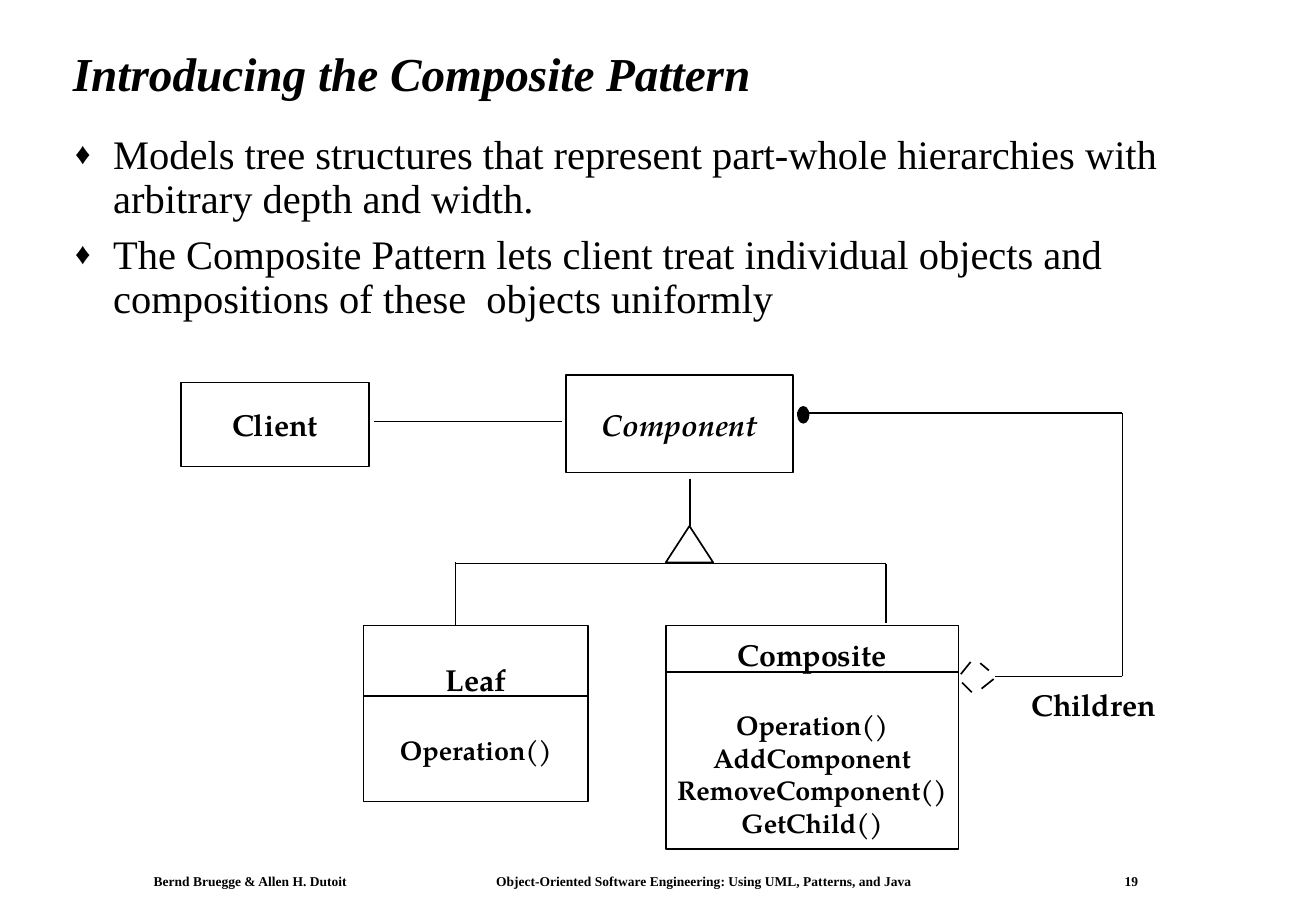
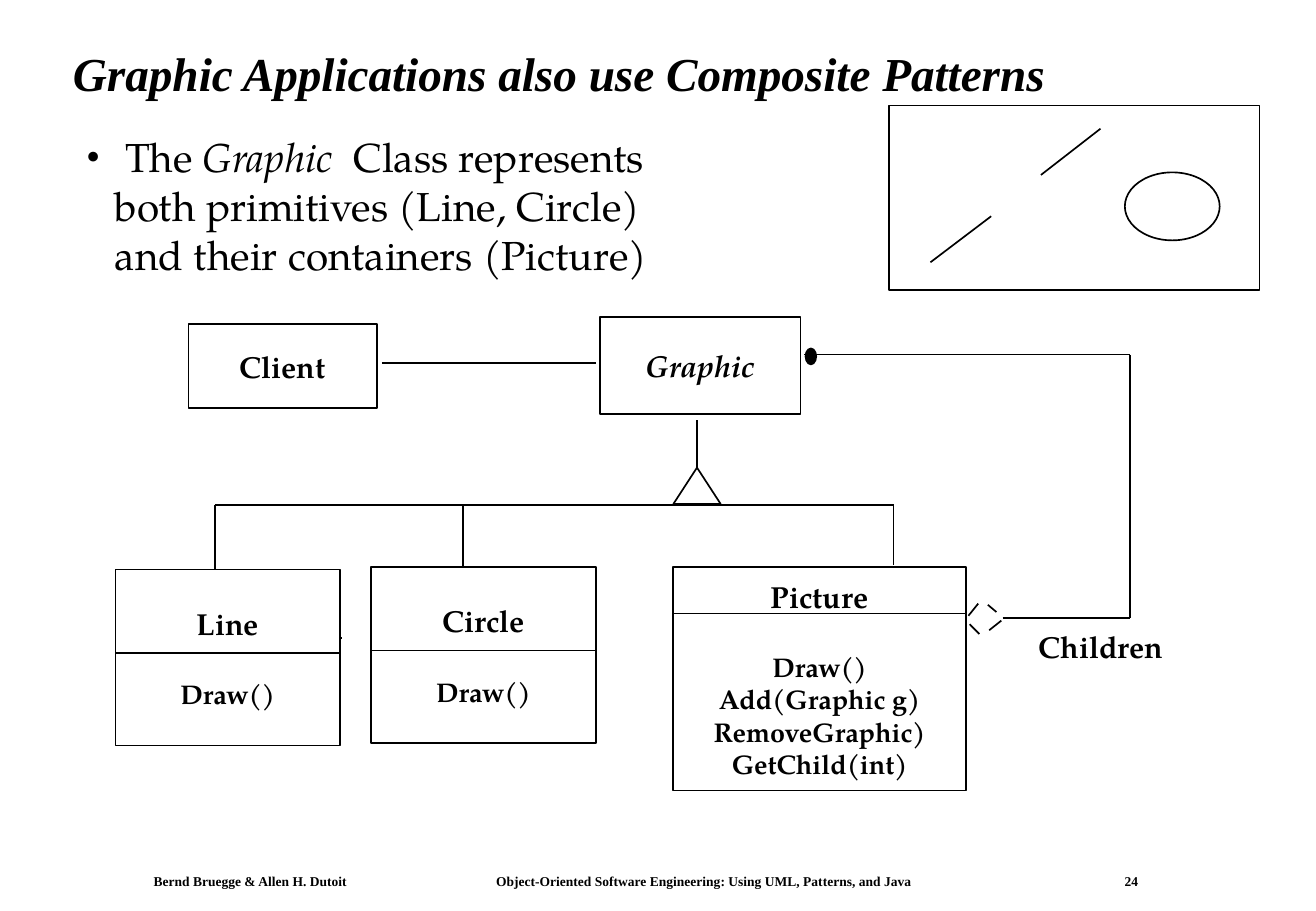
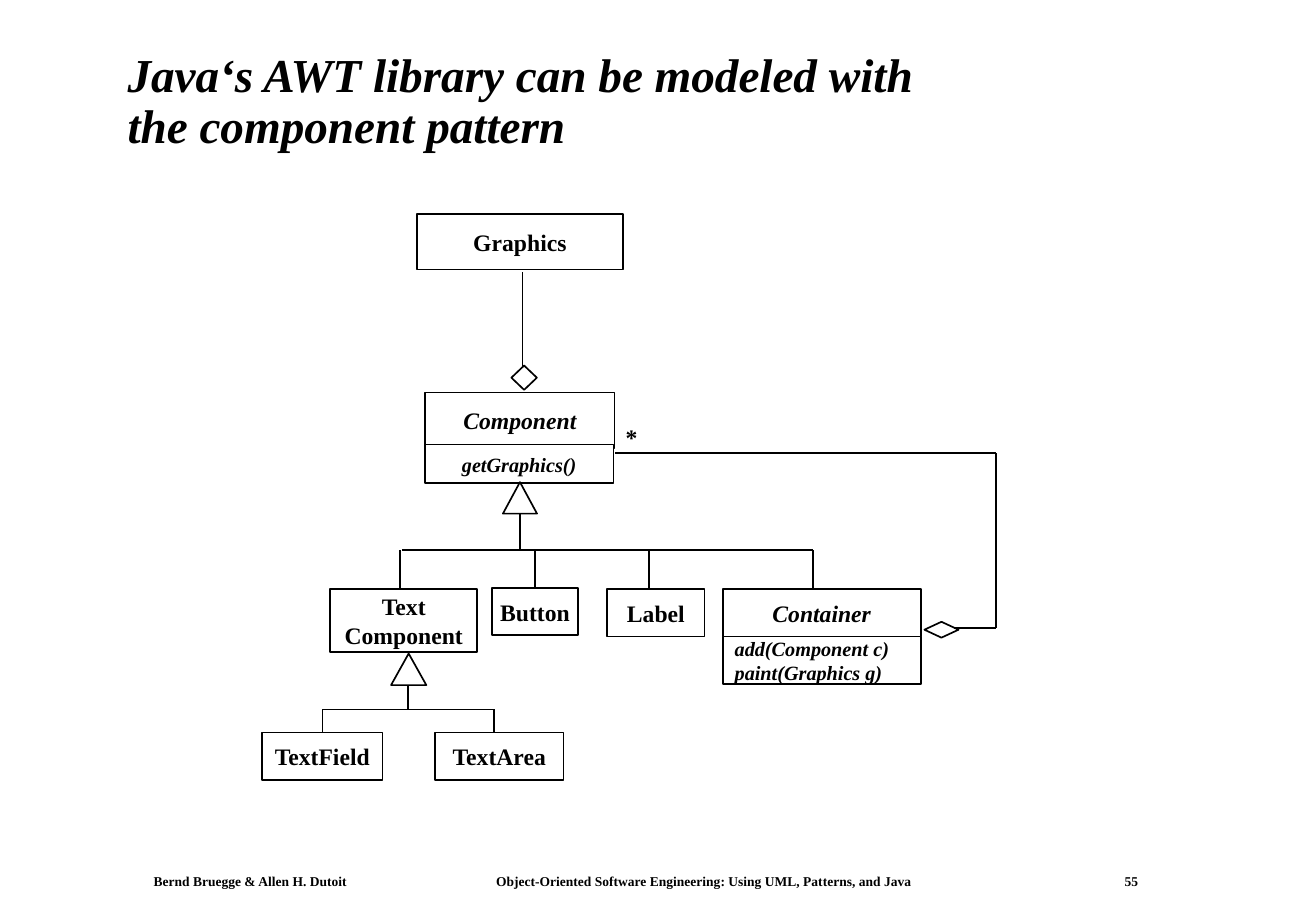
from itertools import pairwise

from lxml import etree
from pptx import Presentation
from pptx.dml.color import RGBColor
from pptx.enum.shapes import MSO_CONNECTOR, MSO_SHAPE
from pptx.enum.text import MSO_ANCHOR, MSO_AUTO_SIZE, PP_ALIGN
from pptx.oxml.ns import qn
from pptx.util import Pt

RECTANGLE = MSO_SHAPE.RECTANGLE
ELLIPSE = MSO_SHAPE.OVAL
TRIANGLE = MSO_SHAPE.ISOSCELES_TRIANGLE
EXTRACT = MSO_SHAPE.FLOWCHART_EXTRACT
DIAMOND = MSO_SHAPE.FLOWCHART_DECISION
STRAIGHT = MSO_CONNECTOR.STRAIGHT
TOP = MSO_ANCHOR.TOP
MIDDLE = MSO_ANCHOR.MIDDLE
LEFT = PP_ALIGN.LEFT
CENTER = PP_ALIGN.CENTER
FIXED = MSO_AUTO_SIZE.NONE

TIMES = "Times New Roman"
PAGELLA = "TeX Gyre Pagella"
BLACK = "000000"
WHITE = "FFFFFF"
LIST_LAYOUT, TITLE_LAYOUT = 1, 5
TOP_SIDE = 0
FOOTER = ("Bernd Bruegge & Allen H. Dutoit",
          "Object-Oriented Software Engineering: Using UML, Patterns, and Java")


def color(value):
    return RGBColor.from_string(value)


def add_child(parent, tag, **attributes):
    return etree.SubElement(parent, qn(tag), attributes)


class Deck:
    def __init__(self):
        self.file = Presentation()
        self.file.slide_width, self.file.slide_height = Pt(780), Pt(540)
        self.slide = None
        self.origin = (0, 0)

    def place(self, left, top):
        return Pt(self.origin[0] + left), Pt(self.origin[1] + top)

    def style(self, paragraph, size, face=TIMES, bold=False, italic=False):
        font = paragraph.font
        font.size, font.name = Pt(size), face
        font.bold, font.italic = bold, italic
        font.color.rgb = color(BLACK)

    def prepare(self, holder, anchor=MIDDLE, wrap=False):
        frame = holder.text_frame
        frame.auto_size = FIXED
        frame.word_wrap = wrap
        frame.vertical_anchor = anchor
        return frame

    def move(self, holder, left, top, width, height):
        holder.left, holder.top = self.place(left, top)
        holder.width, holder.height = Pt(width), Pt(height)

    def page(self, title, number, layout, area=(36, 17.3, 695.5, 55.4)):
        self.slide = self.file.slides.add_slide(self.file.slide_layouts[layout])
        self.origin = (0, 0)
        holder = self.slide.shapes.title
        self.move(holder, *area)
        paragraph = self.prepare(holder, wrap=True).paragraphs[0]
        paragraph.text = title
        paragraph.alignment = LEFT
        paragraph.line_spacing = 0.9
        self.style(paragraph, 28, bold=True, italic=True)
        self.footer(number)

    def footer(self, number):
        box = self.slide.shapes.add_textbox(Pt(85), Pt(514.8), Pt(610), Pt(15))
        frame = self.prepare(box, TOP, True)
        frame.margin_left = frame.margin_right = Pt(6)
        frame.margin_top = frame.margin_bottom = Pt(2.9)
        paragraph = frame.paragraphs[0]
        paragraph.text = "\t".join((*FOOTER, str(number)))
        stops = add_child(paragraph._p.get_or_add_pPr(), "a:tabLst")
        for position in (203, 575.5):
            add_child(stops, "a:tab", pos=str(Pt(position)), algn="l")
        self.style(paragraph, 8, bold=True)

    def bullets(self, area, items, mark, percent, indent, face, spacing):
        holder = self.slide.placeholders[1]
        self.move(holder, *area)
        frame = self.prepare(holder, TOP, True)
        for index, spans in enumerate(items):
            paragraph = frame.add_paragraph() if index else frame.paragraphs[0]
            paragraph.line_spacing = spacing
            paragraph.space_before = Pt(7.2 if index else 0)
            properties = paragraph._p.get_or_add_pPr()
            properties.set("marL", str(Pt(indent)))
            properties.set("indent", str(-Pt(indent)))
            tint = add_child(properties, "a:buClr")
            add_child(tint, "a:srgbClr", val=BLACK)
            add_child(properties, "a:buSzPct", val=str(percent * 1000))
            add_child(properties, "a:buFont", typeface=TIMES)
            add_child(properties, "a:buChar", char=mark)
            self.style(paragraph, 24, face)
            for text, italic in spans:
                span = paragraph.add_run()
                span.text = text
                if italic:
                    span.font.italic = True

    def shape(self, kind, area, fill=WHITE):
        left, top, width, height = area
        shape = self.slide.shapes.add_shape(
            kind, *self.place(left, top), Pt(width), Pt(height))
        shape.shadow.inherit = False
        if fill:
            shape.fill.solid()
            shape.fill.fore_color.rgb = color(fill)
        else:
            shape.fill.background()
        shape.line.color.rgb = color(BLACK)
        shape.line.width = Pt(1)
        return shape

    def fill_text(self, holder, lines, size, face, italic=False, align=CENTER):
        frame = self.prepare(holder)
        for index, line in enumerate(lines):
            paragraph = frame.add_paragraph() if index else frame.paragraphs[0]
            paragraph.text = line
            paragraph.alignment = align
            self.style(paragraph, size, face, True, italic)

    def box(self, area, lines, size=14, face=TIMES, italic=False, align=CENTER):
        box = self.shape(RECTANGLE, area)
        self.fill_text(box, lines, size, face, italic, align)
        return box

    def class_box(self, area, name, operations, divider):
        box = self.box(area, [name], 18, PAGELLA)
        for index, operation in enumerate(operations):
            paragraph = box.text_frame.add_paragraph()
            paragraph.text = operation
            paragraph.alignment = CENTER
            if index == 0:
                paragraph.space_before = Pt(21.6)
            self.style(paragraph, 16, PAGELLA, True)
        self.line((area[0], divider), (area[0] + area[2], divider))

    def label(self, area, text, size, face, align):
        left, top, width, height = area
        box = self.slide.shapes.add_textbox(
            *self.place(left, top), Pt(width), Pt(height))
        self.fill_text(box, [text], size, face, align=align)

    def line(self, start, end, target=None):
        line = self.slide.shapes.add_connector(
            STRAIGHT, *self.place(*start), *self.place(*end))
        line.line.color.rgb = color(BLACK)
        line.line.width = Pt(1)
        add_child(line._element.spPr, "a:effectLst")
        if target is not None:
            line.end_connect(target, TOP_SIDE)

    def route(self, *points):
        for start, end in pairwise(points):
            self.line(start, end)


def draw_composite(deck, parent, parent_left, parent_width, bus_left,
                   composite, operations):
    deck.box((107.2, 226.8, 111.6, 49.7), ["Client"], 18, PAGELLA)
    deck.box((parent_left, 222.5, parent_width, 57.6), [parent], 18, PAGELLA, True)
    deck.line((221.8, 249.8), (parent_left - 2.5, 249.8))
    deck.line((408.8, 283.7), (408.8, 312))
    deck.shape(TRIANGLE, (394.6, 311.8, 28.1, 21.6))
    deck.line((bus_left, 334.1), (525.2, 334.1))
    deck.line((525.2, 334.1), (525.2, 369.4))
    deck.class_box((394.6, 370.8, 173.5, 132.5), composite, operations, 398.2)
    deck.route((589.7, 401), (665.3, 401), (665.3, 244.8), (472.3, 244.8))
    deck.shape(ELLIPSE, (473, 241.2, 6.3, 9.4), BLACK)
    for start, end in (((569.5, 399.6), (575.3, 392.4)),
                       ((581, 393.1), (586.1, 397.4)),
                       ((589, 402.5), (581.8, 408.2)),
                       ((576, 410.4), (570.2, 404.6))):
        deck.line(start, end)
    deck.label((604.1, 403.2, 88.6, 28.8), "Children", 18, PAGELLA, LEFT)


def composite_page(deck):
    deck.page("Introducing the Composite Pattern", 19, LIST_LAYOUT)
    deck.bullets(
        (37.4, 76.3, 710, 427.7),
        [[("Models tree structures that represent part-whole hierarchies with "
           "arbitrary depth and width.", False)],
         [("The Composite Pattern lets client treat individual objects and "
           "compositions of these  objects uniformly", False)]],
        "♦", 75, 22.5, TIMES, 0.9)
    draw_composite(deck, "Component", 335.5, 134.6, 270, "Composite",
                   ["Operation()", "AddComponent", "RemoveComponent()", "GetChild()"])
    deck.line((270, 333.4), (270, 370.8))
    deck.class_box((215.5, 370.8, 133.2, 104.4), "Leaf", ["Operation()"], 412.6)


def graphic_page(deck):
    deck.page("Graphic Applications also use Composite Patterns", 24, LIST_LAYOUT)
    deck.bullets(
        (43.9, 74.9, 387.4, 93.6),
        [[(" The ", False), ("Graphic", True),
          ("  Class represents both primitives (Line, Circle) and their "
           "containers (Picture)", False)]],
        "•", 100, 17, PAGELLA, 1.0)
    deck.shape(RECTANGLE, (527, 62.6, 219.6, 109.4), None)
    deck.line((617, 103.7), (652.3, 76.3))
    deck.line((551.5, 155.5), (587.5, 128.2))
    deck.shape(ELLIPSE, (666.7, 102.2, 56.2, 40.3))
    deck.origin = (4.5, -34.6)
    draw_composite(deck, "Graphic", 351.2, 118.8, 122.9, "Picture",
                   ["Draw()", "Add(Graphic g)", "RemoveGraphic)", "GetChild(int)"])
    deck.line((68.2, 412.6), (198.5, 412.6))
    for name, left, top, drop in (("Line", 63.9, 372.2, 122.9),
                                  ("Circle", 215.5, 370.8, 270)):
        deck.line((drop, 334.1), (drop, top))
        deck.class_box((left, top, 133.2, 104.4), name, ["Draw()"], top + 49.5)


def library_page(deck):
    deck.page("Java‘s AWT library can be modeled with the component pattern",
              55, TITLE_LAYOUT, (68.4, 33.1, 484.6, 55.4))
    deck.box((247, 126.7, 122.4, 33.1), ["Graphics"])
    deck.line((309.6, 216.7), (309.6, 161.3))
    deck.shape(DIAMOND, (303.1, 216.7, 15.1, 14.4))
    deck.box((252, 232.6, 112.3, 33.1), ["Component"], italic=True)
    deck.box((252, 263.5, 111.6, 23), ["getGraphics()"], 12, italic=True)
    deck.label((363.6, 247, 21.6, 23.8), "*", 14, TIMES, CENTER)

    deck.shape(EXTRACT, (298.1, 285.8, 20.2, 18.7))
    deck.line((308.2, 304.6), (308.2, 326.2))
    deck.line((238.3, 326.2), (481.7, 326.2))
    button = deck.box((291.6, 348.5, 51.1, 28.1), ["Button"])
    deck.box((360, 349.2, 57.6, 28.1), ["Label"])
    deck.box((195.8, 349.2, 87.1, 37.4), ["Text", "Component"])
    deck.box((428.4, 349.2, 117.4, 28.1), ["Container"], italic=True)
    deck.box((428.4, 377.3, 117.4, 28.1), ["add(Component c)", "paint(Graphics g)"],
             12, italic=True, align=LEFT)
    for drop, target in ((236.9, None), (317.15, button), (384.5, None), (481.7, None)):
        deck.line((drop, 326.2), (drop, 349.2), target)
    deck.shape(DIAMOND, (547.9, 368.6, 20.2, 9.4))
    deck.route((565.2, 372.2), (590.4, 372.2), (590.4, 268.6), (364.3, 268.6))

    deck.shape(EXTRACT, (231.8, 387.4, 20.9, 18.7))
    deck.line((242, 406.1), (242, 420.5))
    deck.line((191.1, 420.5), (293, 420.5))
    field = deck.box((155.5, 434.2, 71.2, 28.1), ["TextField"])
    deck.box((257.8, 434.2, 76.3, 28.1), ["TextArea"])
    deck.line((191.1, 420.5), (191.1, 434.2), field)
    deck.line((293, 420.5), (293, 434.2))


def main():
    deck = Deck()
    composite_page(deck)
    graphic_page(deck)
    library_page(deck)
    deck.file.save("out.pptx")


if __name__ == "__main__":
    main()
